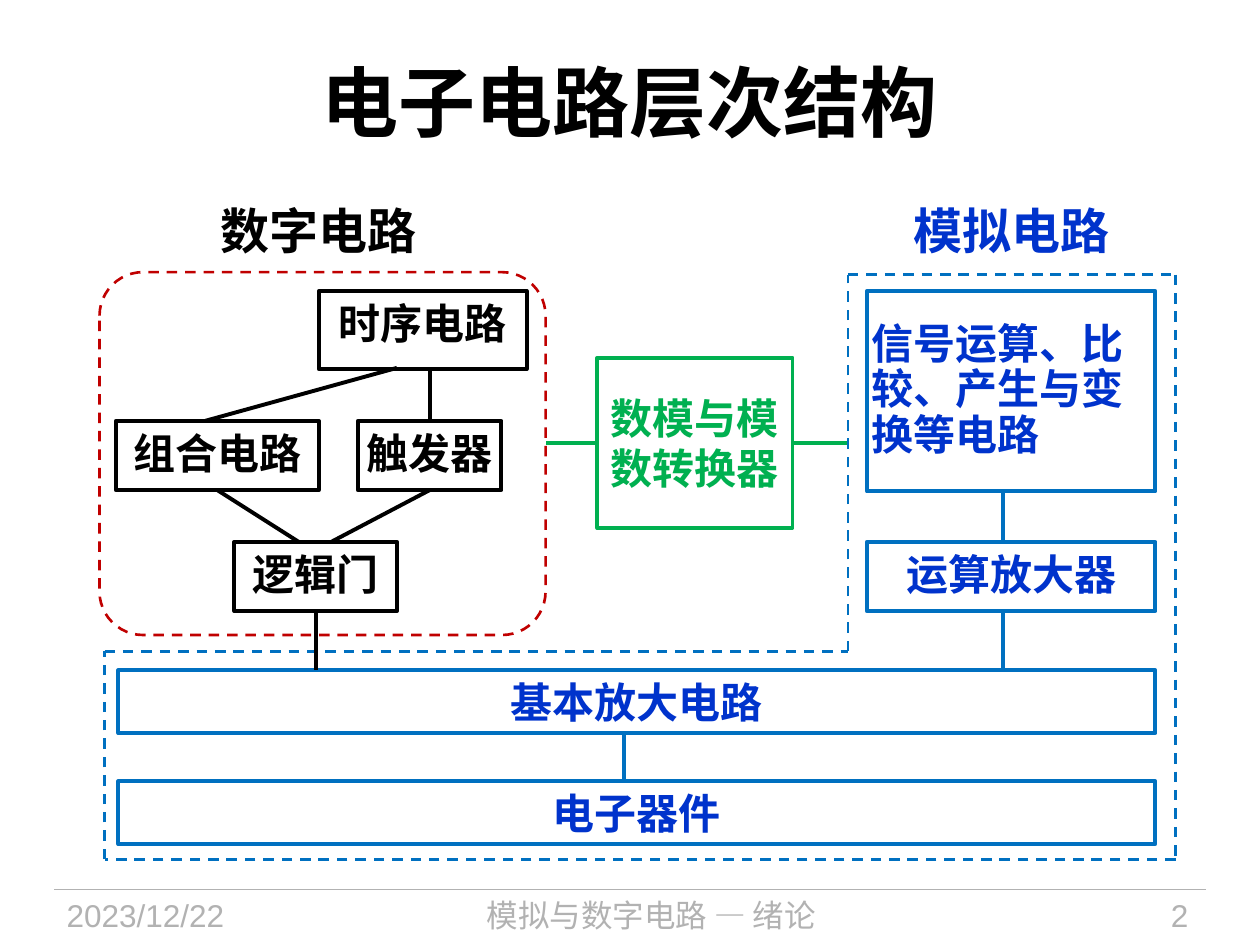
from collections import namedtuple

from lxml import etree
from pptx import Presentation
from pptx.dml.color import RGBColor
from pptx.enum.dml import MSO_LINE
from pptx.enum.shapes import MSO_CONNECTOR, MSO_SHAPE
from pptx.enum.text import MSO_ANCHOR, PP_ALIGN
from pptx.oxml.ns import qn
from pptx.util import Inches, Pt

RECTANGLE, ROUNDED = MSO_SHAPE.RECTANGLE, MSO_SHAPE.ROUNDED_RECTANGLE
STRAIGHT, DASH = MSO_CONNECTOR.STRAIGHT, MSO_LINE.DASH
LEFT, CENTER, RIGHT = PP_ALIGN.LEFT, PP_ALIGN.CENTER, PP_ALIGN.RIGHT
TOP, MIDDLE = MSO_ANCHOR.TOP, MSO_ANCHOR.MIDDLE
SITE_TOP, SITE_LEFT, SITE_BOTTOM, SITE_RIGHT = range(4)

COLUMNS, ROWS, UNIT = 100, 75, Inches(0.1)
BLACK, GRAY, RED, GREEN = "000000", "B2B2B2", "C00000", "00B050"
BLUE_LINE, BLUE_TEXT = "0070C0", "0033CC"

Box = namedtuple("Box", "left top width height")


def color(value):
    """Turn a hex string into a colour."""
    return RGBColor.from_string(value)


def within(box, left, top, width, height):
    """Return a part of a box, given in grid cells from its corner."""
    return Box(box.left + left, box.top + top, width, height)


def measure(cells):
    """Turn grid cells into slide lengths."""
    return [round(cell * UNIT) for cell in cells]


def write(shape, text, size, ink, bold=True, align=CENTER, anchor=TOP,
          insets=(1, 0.5), wrap=True, spacing=None):
    """Put one formatted paragraph into a shape."""
    frame = shape.text_frame
    frame.text = text
    frame.word_wrap = wrap
    frame.vertical_anchor = anchor
    horizontal, vertical = measure(insets)
    frame.margin_left = frame.margin_right = horizontal
    frame.margin_top = frame.margin_bottom = vertical
    paragraph = frame.paragraphs[0]
    paragraph.alignment = align
    if spacing:
        paragraph.line_spacing = spacing
    font = paragraph.runs[0].font
    font.name, font.size, font.bold = "Arial", Pt(size), bold
    font.color.rgb = color(ink)


def add_label(slide, box, text, size, ink, **style):
    """Add a text box."""
    write(slide.shapes.add_textbox(*measure(box)), text, size, ink, **style)


def add_outline(slide, box, stroke, width=2.25, preset=RECTANGLE):
    """Add an unfilled shape."""
    shape = slide.shapes.add_shape(preset, *measure(box))
    shape.shadow.inherit = False
    shape.fill.background()
    shape.line.color.rgb = color(stroke)
    shape.line.width = Pt(width)
    return shape


def add_block(slide, box, text, stroke, ink, **style):
    """Add a framed block with its name."""
    shape = add_outline(slide, box, stroke)
    write(shape, text, 24, ink, **style)
    return shape


def add_line(slide, box, start, end, stroke, width=2.25):
    """Add a straight line between two grid points of a box."""
    points = [box.left + start[0], box.top + start[1],
              box.left + end[0], box.top + end[1]]
    line = slide.shapes.add_connector(STRAIGHT, *measure(points))
    line.line.color.rgb = color(stroke)
    line.line.width = Pt(width)
    etree.SubElement(line._element.spPr, qn("a:effectLst"))
    return line


def build_footer(slide, box):
    """Place the rule, date, subject and page number."""
    add_line(slide, box, (0, 0), (box.width, 0), GRAY, 0.75)
    for left, width, text, align in (
        (0, 18.8, "2023/12/22", LEFT),
        (20.6, 53.6, "模拟与数字电路 — 绪论", CENTER),
        (77.7, 13.3, "2", RIGHT),
    ):
        add_label(slide, within(box, left, 0, width, box.height), text, 18,
                  GRAY, bold=False, align=align)


def build_analog(slide, box):
    """Place the analog blocks inside their dashed L-shaped border."""
    add_label(slide, within(box, 59.6, -6.4, 24.7, 5.9), "模拟电路", 28,
              BLUE_TEXT, wrap=False)
    for top, text in ((31.4, "基本放大电路"), (40.2, "电子器件")):
        add_block(slide, within(box, 1.1, top, 82.3, 5), text,
                  BLUE_LINE, BLUE_TEXT)
    add_block(slide, within(box, 60.5, 21.2, 22.9, 5.5), "运算放大器",
              BLUE_LINE, BLUE_TEXT, wrap=False)
    add_block(slide, within(box, 60.5, 1.3, 22.9, 15.9),
              "信号运算、比较、产生与变换等电路", BLUE_LINE, BLUE_TEXT,
              align=LEFT, anchor=MIDDLE, insets=(0.4, 0), spacing=0.9)
    for column, top, bottom in ((71.3, 17.2, 21.2), (71.3, 26.7, 31.4),
                                (41.2, 36.4, 40.2)):
        add_line(slide, box, (column, top), (column, bottom), BLUE_LINE)
    step_column, step_row = 59, 29.9
    corners = [(0, step_row), (step_column, step_row), (step_column, 0),
               (box.width, 0), (box.width, box.height), (0, box.height)]
    for start, end in zip(corners, corners[1:] + corners[:1]):
        add_line(slide, box, start, end, BLUE_LINE, 1.5).line.dash_style = DASH


def build_digital(slide, box):
    """Place the digital blocks inside their dashed rounded border."""
    add_label(slide, within(box, 6.4, -6.2, 22, 5.9), "数字电路", 28, BLACK,
              wrap=False)
    gate, flip_flop, combination, _ = [
        add_block(slide, within(box, *cells), text, BLACK, BLACK, **style)
        for cells, text, style in (
            ((10.7, 21.4, 12.9, 5.5), "逻辑门", {"wrap": False}),
            ((20.5, 11.8, 11.4, 5.5), "触发器", {"wrap": False}),
            ((1.3, 11.8, 16.1, 5.5), "组合电路", {"insets": (0, 0.5)}),
            ((17.4, 1.5, 16.5, 6.2), "时序电路", {"insets": (0, 0.5)}),
        )
    ]
    for start, end, block, site in (
        ((17.15, 26.9), (17.15, 31.6), gate, SITE_BOTTOM),
        ((26.2, 11.8), (26.2, 7.7), flip_flop, SITE_TOP),
        ((26.2, 17.3), (18.4, 21.4), flip_flop, SITE_BOTTOM),
        ((9.35, 17.3), (15.8, 21.4), combination, SITE_BOTTOM),
    ):
        add_line(slide, box, start, end, BLACK).begin_connect(block, site)
    add_line(slide, box, (23.6, 7.6), (8.4, 11.8), BLACK)
    border = add_outline(slide, box, RED, 1.5, ROUNDED)
    border.adjustments[0] = 0.12
    border.line.dash_style = DASH


def build_converter(slide, box):
    """Place the converter block with a line to each side."""
    block = add_block(slide, box, "数模与模数转换器", GREEN, GREEN,
                      anchor=MIDDLE, insets=(0, 0))
    middle = box.height / 2
    for column, reach, site in ((0, -4.1, SITE_LEFT),
                                (box.width, 4.3, SITE_RIGHT)):
        line = add_line(slide, box, (column, middle),
                        (column + reach, middle), GREEN)
        line.begin_connect(block, site)


def main():
    """Build and save the slide."""
    presentation = Presentation()
    presentation.slide_width, presentation.slide_height = measure((COLUMNS, ROWS))
    slide = presentation.slides.add_slide(presentation.slide_layouts[6])
    build_footer(slide, Box(4.3, 70.6, 91.4, 4.4))
    add_label(slide, Box(5, 1.7, 90, 12.5), "电子电路层次结构", 44, BLACK,
              anchor=MIDDLE)
    build_analog(slide, Box(8.3, 21.8, 85, 46.4))
    build_digital(slide, Box(7.9, 21.6, 35.4, 28.8))
    build_converter(slide, Box(47.4, 28.4, 15.5, 13.5))
    presentation.save("out.pptx")


if __name__ == "__main__":
    main()
